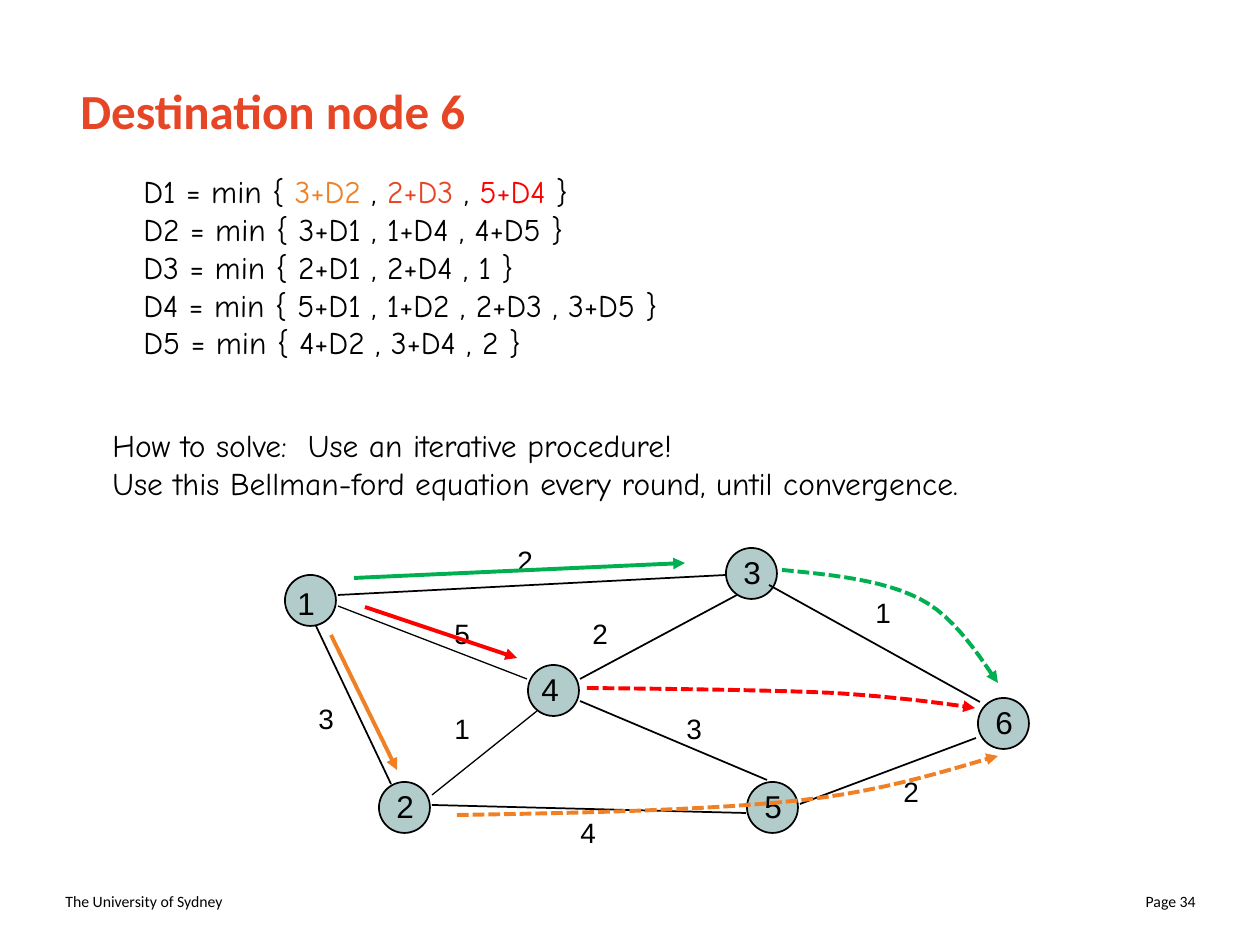
"""Build the Bellman-Ford slide for destination node 6."""
from dataclasses import dataclass

from lxml.etree import SubElement
from pptx import Presentation
from pptx.dml.color import RGBColor
from pptx.enum.dml import MSO_LINE
from pptx.enum.shapes import MSO_CONNECTOR, MSO_SHAPE
from pptx.enum.text import MSO_ANCHOR as ANCHOR, PP_ALIGN as ALIGN
from pptx.oxml.ns import qn
from pptx.util import Pt

PX = 914400 / 126


@dataclass(frozen=True)
class Theme:
    black: str = "000000"
    heading: str = "E64626"
    node: str = "B1CCCB"
    orange: str = "EF8025"
    red: str = "FF0000"
    green: str = "00B050"
    sans: str = "Calibri"
    hand: str = "Comic Neue"
    label: str = "Arial"
    title_size: int = 28
    body_size: int = 18
    weight_size: int = 16
    footer_size: int = 9


theme = Theme()
deck = Presentation()
deck.slide_width, deck.slide_height = round(1260 * PX), round(945 * PX)
page = deck.slides.add_slide(deck.slide_layouts[6])
shapes = page.shapes


def add_text(frame, lines, font, size, color=theme.black, wrap=True, anchor=ANCHOR.TOP):
    """Add a text box whose lines are lists of (text, color) spans or plain strings."""
    box = shapes.add_textbox(*[round(value * PX) for value in frame])
    text_frame = box.text_frame
    text_frame.word_wrap = wrap
    text_frame.vertical_anchor = anchor
    text_frame.text = "\n".join([""] * len(lines))
    for para, line in zip(text_frame.paragraphs, lines):
        spans = [(line, color)] if isinstance(line, str) else line
        for text, span_color in spans:
            span = para.add_run()
            span.text = text
            span.font.name = font
            span.font.size = Pt(size)
            span.font.color.rgb = RGBColor.from_string(span_color)
    return text_frame


def style_line(shape, color, width, dash=None, arrow=False):
    """Set the outline of a shape or connector and remove its shadow."""
    shape.line.color.rgb = RGBColor.from_string(color)
    shape.line.width = Pt(width)
    if dash:
        shape.line.dash_style = dash
    properties = shape._element.spPr
    if arrow:
        SubElement(properties.find(qn("a:ln")), qn("a:tailEnd"), type="triangle")
    SubElement(properties, qn("a:effectLst"))


add_text((53, 876, 294, 50), ["The University of Sydney"],
         theme.sans, theme.footer_size, anchor=ANCHOR.MIDDLE)
page_number = add_text((914, 876, 294, 50), ["Page 34"],
                       theme.sans, theme.footer_size, anchor=ANCHOR.MIDDLE)
page_number.paragraphs[0].alignment = ALIGN.RIGHT

nodes = [
    ("3", (726, 548), (731, 547)),
    ("1", (285, 575), (285, 578)),
    ("5", (747, 782), (752, 781)),
    ("4", (528, 665), (529, 664)),
    ("6", (978, 698), (983, 697)),
    ("2", (379, 782), (384, 781)),
]
for name, (left, top), label_corner in nodes:
    circle = shapes.add_shape(
        MSO_SHAPE.OVAL, *[round(value * PX) for value in (left, top, 51, 51)])
    circle.fill.solid()
    circle.fill.fore_color.rgb = RGBColor.from_string(theme.node)
    style_line(circle, theme.black, 1)
    add_text((*label_corner, 43, 50), [name], theme.label, theme.body_size, wrap=False)

edges = [
    (338, 595, 726, 575, 1),
    (316, 626, 391, 784, 1),
    (432, 805, 746, 813, 1),
    (800, 804, 976, 738, 1),
    (769, 585, 980, 702, 1),
    (737, 595, 580, 679, 1),
    (580, 701, 767, 780, 1),
    (432, 795, 537, 711, 0.75),
    (338, 606, 527, 679, 0.75),
]
for *ends, width in edges:
    edge = shapes.add_connector(MSO_CONNECTOR.STRAIGHT, *[round(value * PX) for value in ends])
    style_line(edge, theme.black, width)

weights = [
    ("2", 505, 543), ("3", 306, 701), ("4", 568, 815),
    ("2", 580, 616), ("1", 442, 711), ("1", 863, 595),
    ("2", 891, 774), ("3", 674, 711), ("5", 442, 616),
]
for weight, left, top in weights:
    weight_text = add_text((left, top, 40, 40), [weight],
                           theme.label, theme.weight_size, wrap=False)
    weight_text.paragraphs[0].line_spacing = 0.85

equations = [
    [("D1 = min { ", theme.black), ("3+D2", theme.orange), (" , ", theme.black),
     ("2+D3", theme.heading), (" , ", theme.black), ("5+D4", theme.red),
     (" }", theme.black)],
    "D2 = min { 3+D1 , 1+D4 , 4+D5 }",
    "D3 = min { 2+D1 , 2+D4 , 1 }",
    "D4 = min { 5+D1 , 1+D2 , 2+D3 , 3+D5 }",
    "D5 = min { 4+D2 , 3+D4 , 2 }",
]
add_text((131, 166, 800, 242), equations, theme.hand, theme.body_size)

title = add_text((68, 74, 708, 72), ["Destination node 6"],
                 theme.sans, theme.title_size, theme.heading, anchor=ANCHOR.MIDDLE)
title.paragraphs[0].runs[0].font.bold = True

method = [
    "How to solve:  Use an iterative procedure!",
    "Use this Bellman-ford equation every round, until convergence.",
]
add_text((100, 420, 1023, 89), method, theme.hand, theme.body_size)

routes = [
    (theme.orange, (331, 635, 397, 770),
     [(457, 815), (585, 813), (712, 810), (803, 800), (892, 790), (960, 766), (998, 756)]),
    (theme.red, (365, 607, 517, 658),
     [(587, 688), (678, 689), (770, 690), (834, 693), (898, 697), (948, 704), (975, 708)]),
    (theme.green, (354, 578, 685, 563),
     [(782, 570), (833, 575), (883, 580), (920, 599), (956, 617), (983, 662), (998, 683)]),
]
STEPS = 12
for color, ends, curve in routes:
    first_hop = shapes.add_connector(
        MSO_CONNECTOR.STRAIGHT, *[round(value * PX) for value in ends])
    style_line(first_hop, color, 2.25, arrow=True)

    points = []
    for start in (0, 3):
        controls = curve[start:start + 4]
        for step in range(1, STEPS + 1):
            t = step / STEPS
            shares = ((1 - t) ** 3, 3 * t * (1 - t) ** 2, 3 * t ** 2 * (1 - t), t ** 3)
            points.append(tuple(
                round(PX * sum(share * control[axis] for share, control in zip(shares, controls)))
                for axis in (0, 1)))
    builder = shapes.build_freeform(*[round(value * PX) for value in curve[0]])
    builder.add_line_segments(points, close=False)
    remaining_path = builder.convert_to_shape()
    remaining_path.fill.background()
    style_line(remaining_path, color, 2.25, MSO_LINE.SQUARE_DOT, arrow=True)

deck.save("out.pptx")
